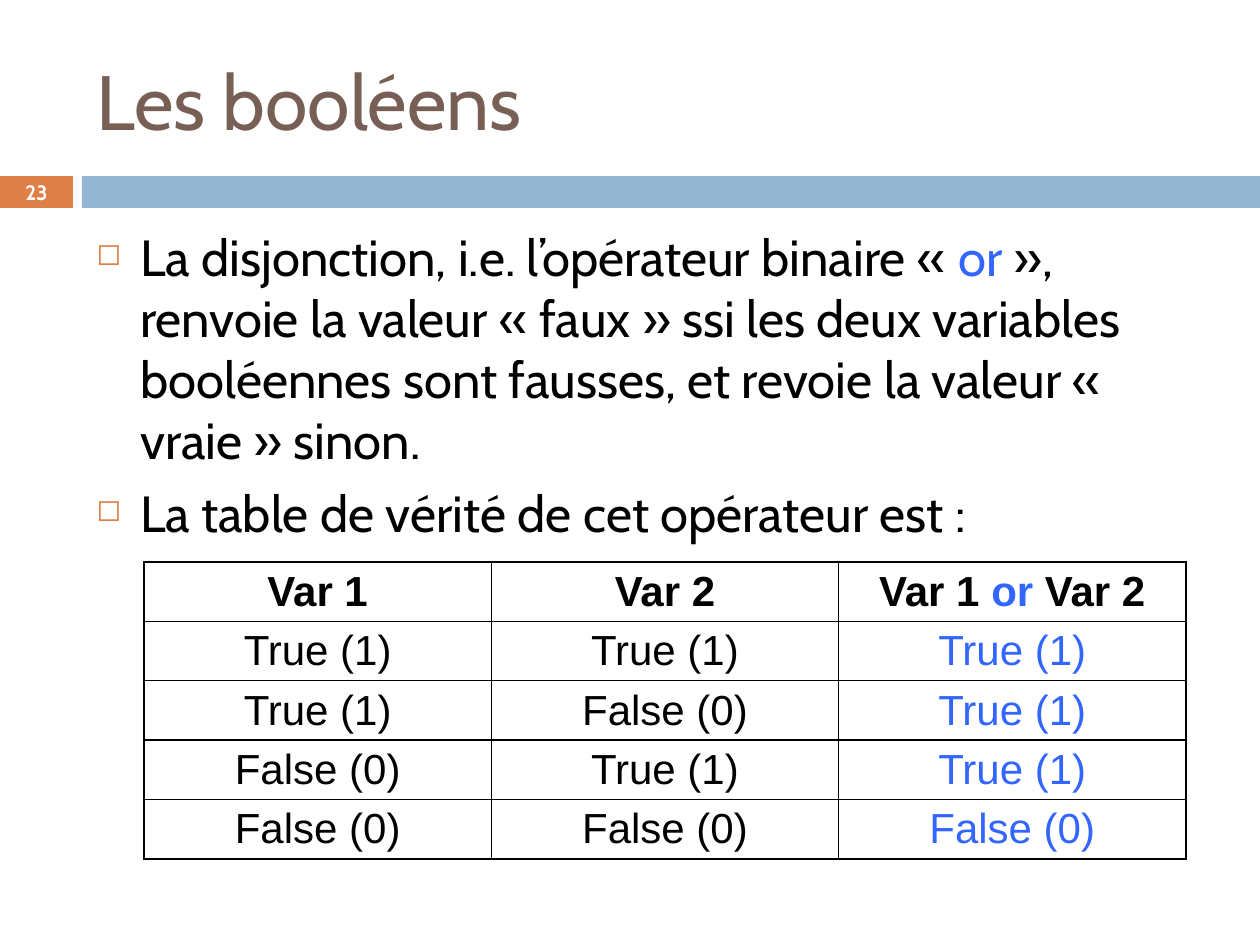
from lxml import etree
from pptx import Presentation
from pptx.dml.color import RGBColor
from pptx.enum.shapes import MSO_SHAPE
from pptx.enum.text import MSO_ANCHOR, PP_ALIGN
from pptx.oxml.ns import qn
from pptx.util import Emu, Pt

RECT = MSO_SHAPE.RECTANGLE
TOP, MIDDLE = MSO_ANCHOR.TOP, MSO_ANCHOR.MIDDLE
LEFT, CENTER = PP_ALIGN.LEFT, PP_ALIGN.CENTER

ORANGE = RGBColor(0xDD, 0x80, 0x47)
SKY = RGBColor(0x94, 0xB6, 0xD2)
BROWN = RGBColor(0x77, 0x5F, 0x55)
BLUE = RGBColor(0x33, 0x66, 0xFF)
BLACK = RGBColor(0, 0, 0)
WHITE = RGBColor(0xFF, 0xFF, 0xFF)

SCALE = 914400 / 126
TRUE, FALSE = "True (1)", "False (0)"


def px(n):
    return Emu(round(n * SCALE))


def add(parent, tag, **attrs):
    return etree.SubElement(parent, qn(tag), attrs)


class Deck:
    font = "Cabin"
    grid = "Arial"

    def __init__(self, wide, high):
        self.file = Presentation()
        self.file.slide_width, self.file.slide_height = px(wide), px(high)
        self.slide = self.file.slides.add_slide(self.file.slide_layouts[6])

    def bar(self, x, y, w, h, color):
        shape = self.slide.shapes.add_shape(RECT, px(x), px(y), px(w), px(h))
        shape.shadow.inherit = False
        shape.fill.solid()
        shape.fill.fore_color.rgb = color
        shape.line.fill.background()

    def put(self, para, parts, size, color, font, bold=False, align=LEFT):
        para.alignment = align
        para.font.name, para.font.size, para.font.bold = font, Pt(size), bold
        mixed = len(parts) > 1
        if not mixed:
            para.font.color.rgb = color
        for text, tint in parts:
            run = para.add_run()
            run.text = text
            if mixed:
                run.font.color.rgb = tint or color

    def box(self, x, y, w, h, anchor):
        frame = self.slide.shapes.add_textbox(px(x), px(y), px(w), px(h)).text_frame
        frame.word_wrap = True
        frame.vertical_anchor = anchor
        return frame

    def label(self, x, y, w, h, text, size, color, bold=False, align=LEFT):
        frame = self.box(x, y, w, h, MIDDLE)
        self.put(frame.paragraphs[0], [(text, None)], size, color, self.font, bold, align)

    def bullets(self, x, y, w, h, items, size):
        frame = self.box(x, y, w, h, TOP)
        for i, parts in enumerate(items):
            para = frame.add_paragraph() if i else frame.paragraphs[0]
            self.put(para, parts, size, BLACK, self.font)
            para.space_before = Pt(7)
            props = para._p.get_or_add_pPr()
            props.set("marL", str(px(44)))
            props.set("indent", str(-px(44)))
            mark = etree.Element(qn("a:buClr"))
            add(mark, "a:srgbClr", val=str(ORANGE))
            ratio = etree.Element(qn("a:buSzPct"), val="60000")
            sign = etree.Element(qn("a:buChar"), char="◻")
            rest = props.find(qn("a:defRPr"))
            for node in (mark, ratio, sign):
                rest.addprevious(node)

    def table(self, x, y, w, h, rows, size):
        count, cols = len(rows), len(rows[0])
        table = self.slide.shapes.add_table(count, cols, px(x), px(y), px(w), px(h)).table
        table.first_row = table.horz_banding = False
        for r, row in enumerate(rows):
            for c, parts in enumerate(row):
                cell = table.cell(r, c)
                cell.margin_top = cell.margin_bottom = px(3)
                cell.vertical_anchor = MIDDLE
                self.edge(cell)
                cell.fill.background()
                color = BLUE if r and c == cols - 1 else BLACK
                para = cell.text_frame.paragraphs[0]
                self.put(para, parts, size, color, self.grid, r == 0, CENTER)

    def edge(self, cell):
        props = cell._tc.get_or_add_tcPr()
        for side in ("a:lnL", "a:lnR", "a:lnT", "a:lnB"):
            line = add(props, side, w=str(Pt(1)))
            add(add(line, "a:solidFill"), "a:srgbClr", val=str(BLACK))


def main():
    deck = Deck(1260, 945)
    deck.bar(0, 176, 73, 32, ORANGE)
    deck.bar(82, 176, 1178, 32, SKY)
    deck.label(84, 32, 1124, 136, "Les booléens", 44, BROWN)
    deck.label(0, 175, 73, 34, "23", 11.9, WHITE, True, CENTER)
    deck.bullets(84, 220, 1124, 620, [
        [("La disjonction, i.e. l’opérateur binaire « ", None), ("or", BLUE),
         (" », renvoie la valeur « faux » ssi les deux variables booléennes "
          "sont fausses, et revoie la valeur « vraie » sinon.", None)],
        [("La table de vérité de cet opérateur est :", None)],
    ], 29)
    head = [[("Var 1", None)], [("Var 2", None)],
            [("Var 1 ", None), ("or ", BLUE), ("Var 2", None)]]
    cases = [(a, b, TRUE if TRUE in (a, b) else FALSE)
             for a in (TRUE, FALSE) for b in (TRUE, FALSE)]
    body = [[[(text, None)] for text in case] for case in cases]
    deck.table(144, 562, 1042, 297, [head] + body, 24)
    deck.file.save("out.pptx")


if __name__ == "__main__":
    main()
